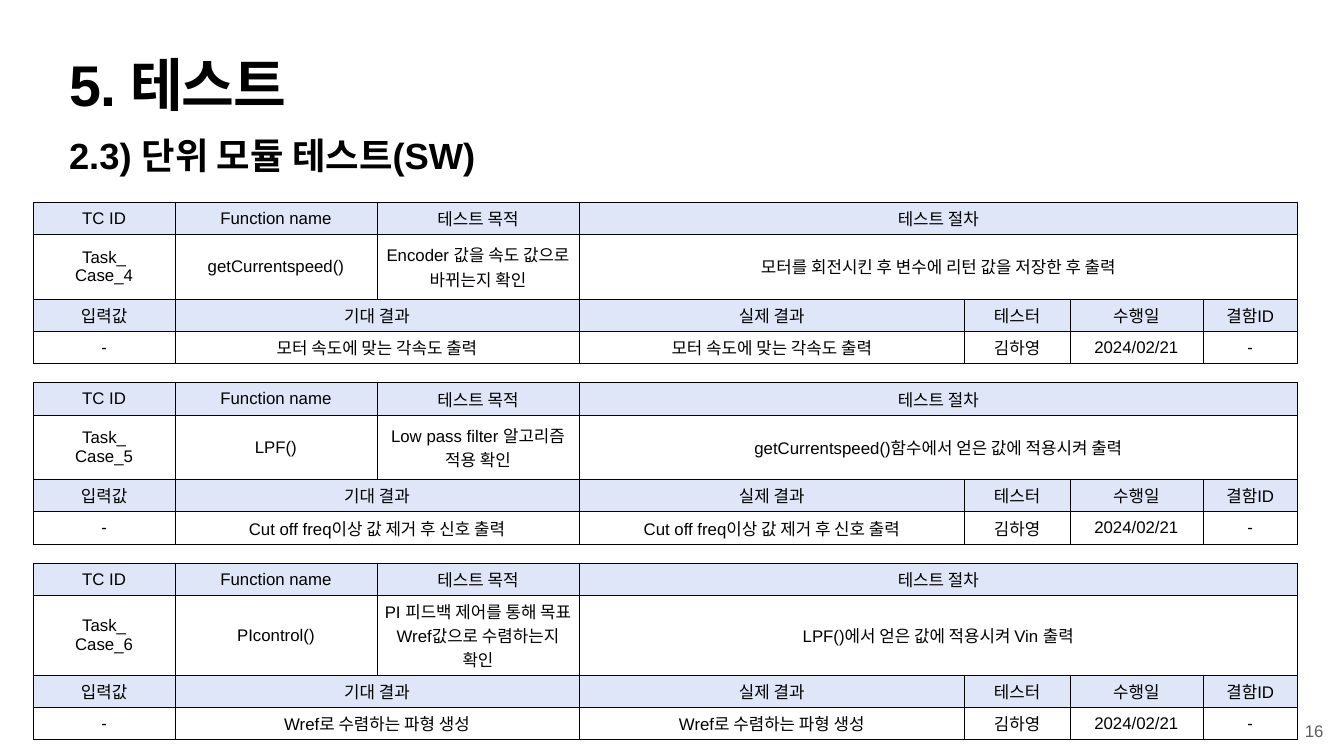
from lxml import etree
from pptx import Presentation
from pptx import util as u
from pptx.dml.color import RGBColor
from pptx.enum import text
from pptx.oxml import ns

BLACK, GREY, HEADER_FILL = "000000", "5E5E5E", "DFE6F7"
MARGINS = ("margin_left", "margin_right", "margin_top", "margin_bottom")
COLUMNS = [2.81, 4.01, 4.01, 7.65, 2.09, 2.64, 1.88]
ROW = 0.64
ROW_SHARES = [1, 2, 1, 1]
LEFT, TOP, PITCH = 0.66, 4.01, 3.585
CASE_SPANS = [1, 1, 1, 4]
RESULT_SPANS = [1, 2, 1, 1, 1, 1]


def style(frame, size, color=BLACK, bold=False, align=text.PP_ALIGN.CENTER):
    for para in frame.paragraphs:
        para.alignment = align
        para.space_before = u.Pt(0)
        for span in para.runs:
            for name, value in dict(size=u.Pt(size), name="Arial", bold=bold).items():
                setattr(span.font, name, value)
            span.font.color.rgb = RGBColor.from_string(color)


def add_borders(cell):
    properties = cell._tc.get_or_add_tcPr()
    for side in ("lnL", "lnR", "lnT", "lnB"):
        line = etree.SubElement(properties, ns.qn(f"a:{side}"), w=str(u.Pt(1)))
        fill = etree.SubElement(line, ns.qn("a:solidFill"))
        etree.SubElement(fill, ns.qn("a:srgbClr"), val=BLACK)


deck = Presentation()
deck.slide_width, deck.slide_height = u.Inches(26.67), u.Inches(15)
page = deck.slides.add_slide(deck.slide_layouts[1])

# Headings
headings = [
    ("5. 테스트", 1.18, 1.57, 82, 0.06),
    ("2.3) 단위 모듈 테스트(SW)", 2.6, 1.02, 52, 0.05),
]
for box, (words, top, height, size, inset) in zip(page.placeholders, headings):
    box.left, box.top, box.width, box.height = map(u.Inches, (1.32, top, 24.03, height))
    frame = box.text_frame
    frame.text = words
    frame.auto_size = text.MSO_AUTO_SIZE.NONE
    frame.vertical_anchor = text.MSO_ANCHOR.TOP
    for margin in MARGINS:
        setattr(frame, margin, u.Inches(inset))
    para_format = frame.paragraphs[0]._p.get_or_add_pPr()
    para_format.set("marL", "0")
    para_format.set("indent", "0")
    etree.SubElement(para_format, ns.qn("a:buNone"))
    style(frame, size, bold=True, align=text.PP_ALIGN.LEFT)
title_para = page.shapes.title.text_frame.paragraphs[0]
title_para.line_spacing = 0.8
title_para.runs[0].font._element.set("spc", "-200")

# Test cases: id, function, purpose, procedure, result
cases = [
    ("Task_\nCase_4", "getCurrentspeed()", "Encoder 값을 속도 값으로 바뀌는지 확인",
     "모터를 회전시킨 후 변수에 리턴 값을 저장한 후 출력", "모터 속도에 맞는 각속도 출력"),
    ("Task_\nCase_5", "LPF()", "Low pass filter 알고리즘 적용 확인",
     "getCurrentspeed()함수에서 얻은 값에 적용시켜 출력", "Cut off freq이상 값 제거 후 신호 출력"),
    ("Task_\nCase_6", "PIcontrol()", "PI 피드백 제어를 통해 목표 Wref값으로 수렴하는지 확인",
     "LPF()에서 얻은 값에 적용시켜 Vin 출력", "Wref로 수렴하는 파형 생성"),
]
for index, (*case, result) in enumerate(cases):
    table = page.shapes.add_table(
        len(ROW_SHARES), len(COLUMNS), u.Inches(LEFT), u.Inches(TOP + index * PITCH),
        u.Inches(sum(COLUMNS)), u.Inches(ROW * sum(ROW_SHARES))).table
    table.first_row = table.horz_banding = False
    for column, width in zip(table.columns, COLUMNS):
        column.width = u.Inches(width)
    for row, share in zip(table.rows, ROW_SHARES):
        row.height = u.Inches(ROW * share)
    for cell in table.iter_cells():
        add_borders(cell)

    rows = [
        (CASE_SPANS, ["TC ID", "Function name", "테스트 목적", "테스트 절차"]),
        (CASE_SPANS, case),
        (RESULT_SPANS, ["입력값", "기대 결과", "실제 결과", "테스터", "수행일", "결함ID"]),
        (RESULT_SPANS, ["-", result, result, "김하영", "2024/02/21", "-"]),
    ]
    for row, (spans, entries) in enumerate(rows):
        column = 0
        for width, words in zip(spans, entries):
            cell = table.cell(row, column)
            if width > 1:
                cell.merge(table.cell(row, column + width - 1))
            cell.text_frame.text = words
            cell.vertical_anchor = text.MSO_ANCHOR.MIDDLE
            for margin in MARGINS:
                setattr(cell, margin, u.Inches(0.06))
            style(cell.text_frame, 24)
            if row % 2 == 0:
                cell.fill.solid()
                cell.fill.fore_color.rgb = RGBColor.from_string(HEADER_FILL)
            else:
                cell.fill.background()
            column += width

# Page number
number = page.shapes.add_textbox(*map(u.Inches, (25.83, 14.25, 0.5, 0.5))).text_frame
number.text = "16"
number.word_wrap = False
number.auto_size = text.MSO_AUTO_SIZE.SHAPE_TO_FIT_TEXT
number.vertical_anchor = text.MSO_ANCHOR.MIDDLE
for margin in MARGINS:
    setattr(number, margin, u.Inches(0.06))
style(number, 24, GREY)

deck.save("out.pptx")
